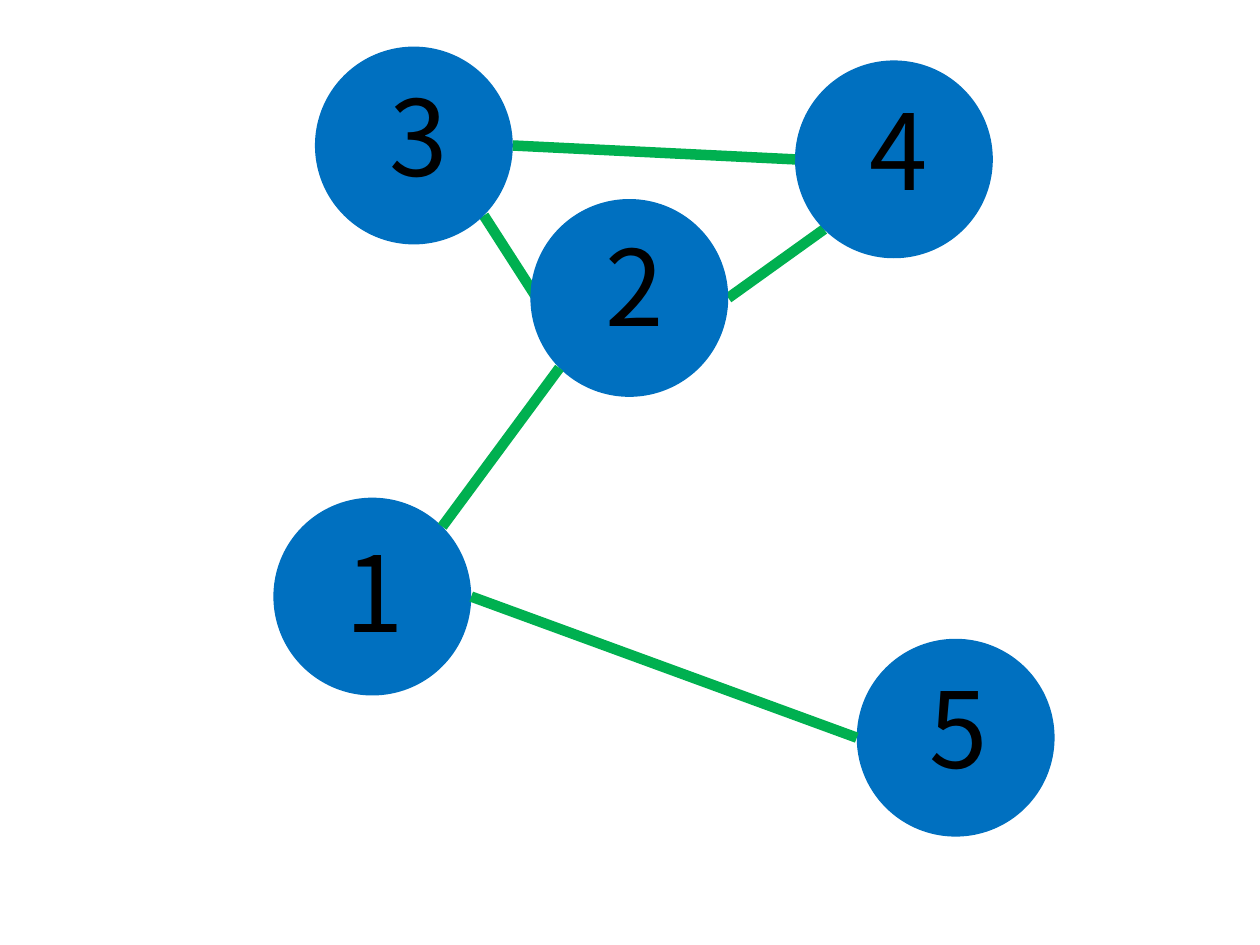
import math
from dataclasses import dataclass

from lxml import etree
from pptx import Presentation
from pptx.dml.color import RGBColor
from pptx.enum import shapes, text
from pptx.oxml import ns
from pptx.util import Inches, Pt


@dataclass(frozen=True)
class Theme:
    node: RGBColor = RGBColor(0x00, 0x70, 0xC0)
    edge: RGBColor = RGBColor(0x00, 0xB0, 0x50)
    label: RGBColor = RGBColor(0x00, 0x00, 0x00)
    font: str = "Noto Sans CJK SC"
    label_size: int = 60
    edge_width: int = 6


theme = Theme()
DIAMETER = 1.57
LABEL_HEIGHT = 1.11

# Each node: circle left and top, label left, top and width, grouped or not
nodes = {
    "1": (2.17, 3.95, 2.64, 4.14, 0.37, False),
    "2": (4.21, 1.58, 4.71, 1.71, 0.58, False),
    "3": (2.5, 0.37, 2.99, 0.52, 0.6, True),
    "4": (6.31, 0.48, 6.8, 0.63, 0.6, True),
    "5": (6.8, 5.07, 7.28, 5.22, 0.6, True),
}

# Each edge: node and clockwise angle from the right at both ends,
# then a shift of the second end
back_edges = [
    ("2", 0, "4", 135, 0, 0),
    ("3", 45, "2", 180, 0.07, 0.03),
]
front_edges = [
    ("1", 315, "2", 135, 0, 0),
    ("1", 0, "5", 180, 0, 0),
    ("3", 0, "4", 180, 0, 0),
]


def add_label(parent, content, left, top, width, *, size, color, font):
    label = parent.add_textbox(Inches(left), Inches(top), Inches(width), Inches(LABEL_HEIGHT))
    frame = label.text_frame
    frame.word_wrap = True
    frame.auto_size = text.MSO_AUTO_SIZE.SHAPE_TO_FIT_TEXT
    run = frame.paragraphs[0].add_run()
    run.text = content
    run.font.size = Pt(size)
    run.font.name = font
    run.font.color.rgb = color


def add_edges(parent, edges):
    radius = DIAMETER / 2
    for start, start_angle, end, end_angle, shift_x, shift_y in edges:
        points = []
        for node, angle in ((start, start_angle), (end, end_angle)):
            left, top = nodes[node][:2]
            points.append(left + radius * (1 + math.cos(math.radians(angle))))
            points.append(top + radius * (1 + math.sin(math.radians(angle))))
        points[2] += shift_x
        points[3] += shift_y
        edge = parent.add_connector(
            shapes.MSO_CONNECTOR.STRAIGHT, *(Inches(value) for value in points)
        )
        edge.line.color.rgb = theme.edge
        edge.line.width = Pt(theme.edge_width)
        properties = edge._element.find(ns.qn("p:spPr"))
        etree.SubElement(properties, ns.qn("a:effectLst"))


prs = Presentation()
prs.slide_width, prs.slide_height = Inches(10), Inches(7.5)
slide = prs.slides.add_slide(prs.slide_layouts[6])

# Edges behind the nodes
add_edges(slide.shapes, back_edges)

# Numbered nodes
for number, (left, top, label_left, label_top, label_width, grouped) in nodes.items():
    parent = slide.shapes.add_group_shape().shapes if grouped else slide.shapes
    circle = parent.add_shape(
        shapes.MSO_SHAPE.OVAL, Inches(left), Inches(top), Inches(DIAMETER), Inches(DIAMETER)
    )
    circle.shadow.inherit = False
    circle.fill.solid()
    circle.fill.fore_color.rgb = theme.node
    circle.line.fill.background()
    add_label(parent, number, label_left, label_top, label_width,
              size=theme.label_size, color=theme.label, font=theme.font)

# Edges in front of the nodes
add_edges(slide.shapes, front_edges)

prs.save("out.pptx")
